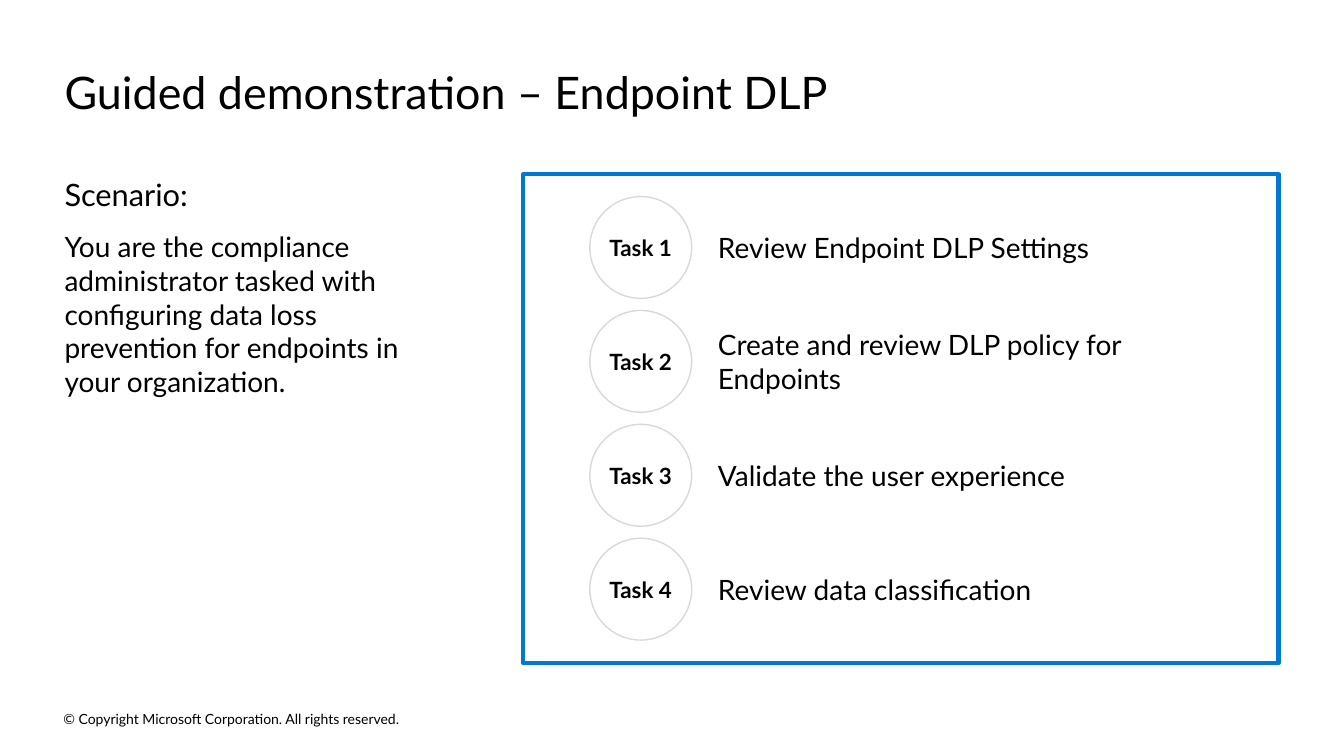
from dataclasses import dataclass

from pptx import Presentation
from pptx.dml.color import RGBColor
from pptx.enum.shapes import MSO_SHAPE
from pptx.enum.text import MSO_ANCHOR, PP_ALIGN
from pptx.util import Emu, Pt

RECT = MSO_SHAPE.RECTANGLE
OVAL = MSO_SHAPE.OVAL
TOP = MSO_ANCHOR.TOP
MIDDLE = MSO_ANCHOR.MIDDLE
CENTER = PP_ALIGN.CENTER
PX = 9144


@dataclass(frozen=True)
class Theme:
    font: str = "Lato"
    ink: RGBColor = RGBColor(0x00, 0x00, 0x00)
    paper: RGBColor = RGBColor(0xFF, 0xFF, 0xFF)
    accent: RGBColor = RGBColor(0x00, 0x78, 0xD4)
    ring: RGBColor = RGBColor(0xD9, 0xD9, 0xD9)
    title: int = 32
    heading: int = 22
    body: int = 20
    badge: int = 16
    footer: int = 10


THEME = Theme()
TASKS = [
    "Review Endpoint DLP Settings",
    "Create and review DLP policy for Endpoints",
    "Validate the user experience",
    "Review data classification",
]


def px(*lengths):
    return [Emu(n * PX) for n in lengths]


def write(tf, text, size, bold=False, anchor=TOP, inset=0):
    tf.vertical_anchor = anchor
    tf.margin_left, tf.margin_top, tf.margin_right, tf.margin_bottom = px(*[inset] * 4)
    p = tf.paragraphs[0]
    r = p.add_run()
    r.text = text
    r.font.name = THEME.font
    r.font.size = Pt(size)
    r.font.bold = bold
    r.font.color.rgb = THEME.ink
    return p


def add_text(slide, box, text, size, anchor=TOP):
    tf = slide.shapes.add_textbox(*px(*box)).text_frame
    tf.word_wrap = True
    write(tf, text, size, anchor=anchor)


def add_outline(slide, kind, box, color, width):
    sp = slide.shapes.add_shape(kind, *px(*box))
    sp.shadow.inherit = False
    sp.fill.solid()
    sp.fill.fore_color.rgb = THEME.paper
    sp.line.color.rgb = color
    sp.line.width = Pt(width)
    return sp


def add_scenario(slide, x, y, w, h):
    heading_h, gap = 37, 17
    add_text(slide, (x, y, w, heading_h), "Scenario:", THEME.heading)
    story_y = y + heading_h + gap
    add_text(slide, (x, story_y, w, y + h - story_y),
             "You are the compliance administrator tasked with configuring "
             "data loss prevention for endpoints in your organization.",
             THEME.body)


def add_task(slide, x, y, size, number, text):
    badge = add_outline(slide, OVAL, (x, y, size, size), THEME.ring, 1)
    tf = badge.text_frame
    tf.word_wrap = False
    p = write(tf, f"Task {number}", THEME.badge, bold=True, anchor=MIDDLE, inset=6)
    p.alignment = CENTER
    text_x, text_w = x + size + 26, 508
    add_text(slide, (text_x, y, text_w, size), text, THEME.body, MIDDLE)


def add_tasks(slide, x, y, w, h):
    add_outline(slide, RECT, (x, y, w, h), THEME.accent, 3)
    size, pitch, indent = 101, 113, 66
    stack_h = (len(TASKS) - 1) * pitch + size
    first_y = y + (h - stack_h) // 2
    for i, text in enumerate(TASKS):
        add_task(slide, x + indent, first_y + i * pitch, size, i + 1, text)


def build_slide(prs):
    slide = prs.slides.add_slide(prs.slide_layouts[6])
    add_text(slide, (63, 702, 454, 22),
             "© Copyright Microsoft Corporation. All rights reserved.",
             THEME.footer, MIDDLE)
    add_text(slide, (64, 64, 1208, 54),
             "Guided demonstration – Endpoint DLP", THEME.title)
    add_scenario(slide, 64, 174, 347, 222)
    add_tasks(slide, 519, 173, 749, 485)


def main():
    prs = Presentation()
    prs.slide_width, prs.slide_height = px(1333, 750)
    build_slide(prs)
    prs.save("out.pptx")


if __name__ == "__main__":
    main()
